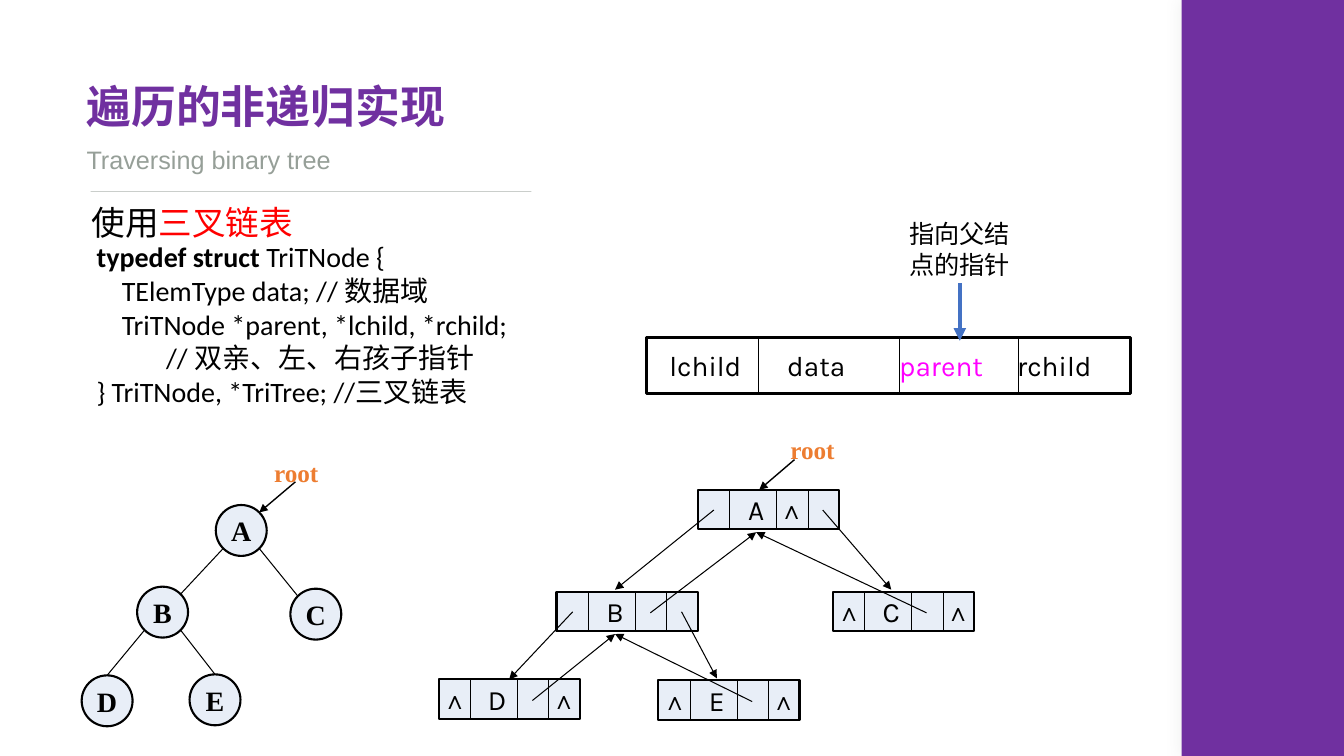
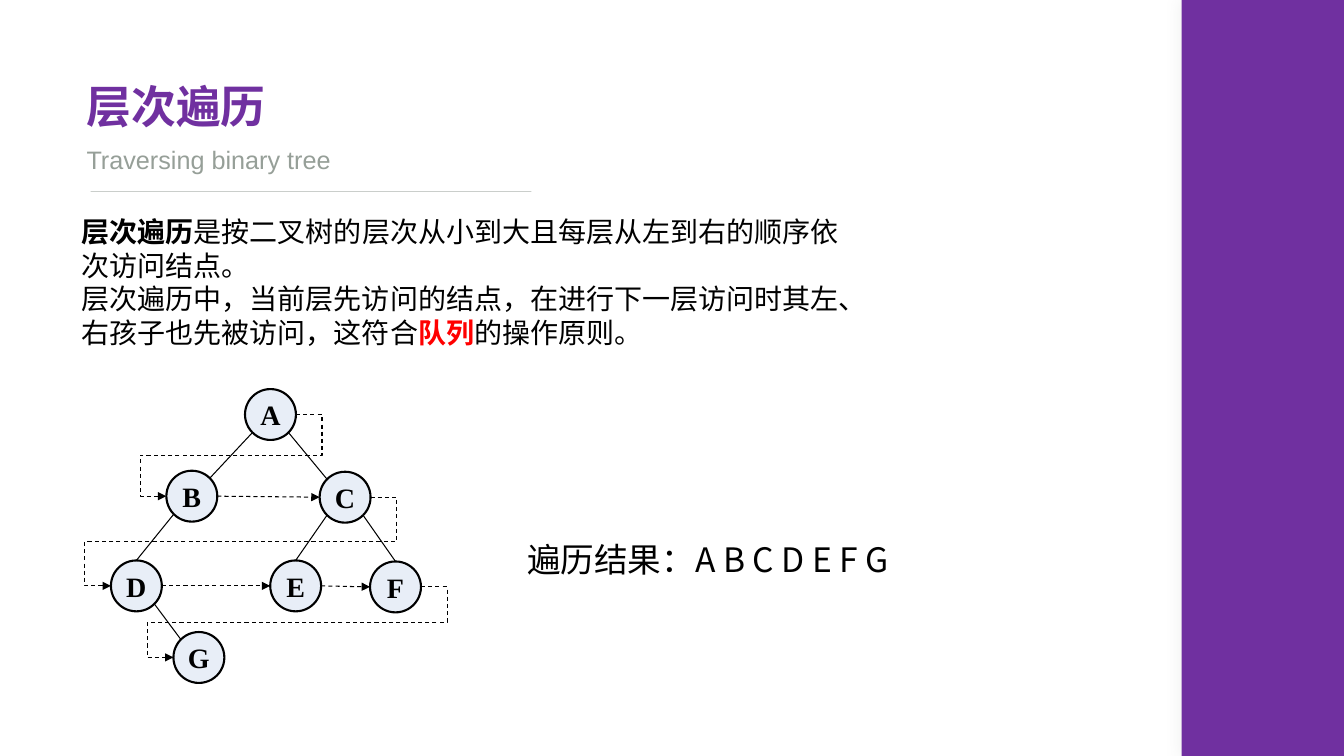
import math

import lxml.etree
import pptx
import pptx.dml.color
import pptx.enum.dml
import pptx.enum.shapes
import pptx.enum.text
import pptx.oxml.ns
import pptx.util

COLUMNS, ROWS = 133.3, 75
COLORS = {
    "purple": "7030A0",
    "gray": "969F98",
    "shade": "D5D7D5",
    "black": "000000",
    "red": "FF0000",
    "magenta": "FF00FF",
    "orange": "ED7D31",
    "blue": "4472C4",
    "pale": "E8EEF7",
}
CJK, SERIF, SANS, BODY, CODE = "Noto Sans CJK SC", "Times New Roman", "Arial", "Karla", "Calibri"
NODE_SIZE = 5.05
TOP, TOP_LEFT, LEFT, BOTTOM_LEFT, BOTTOM, BOTTOM_RIGHT, RIGHT, TOP_RIGHT = range(8)
ELBOW_LEAD = 2.6
RECORD_WIDTH, RECORD_HEIGHT = 14, 3.9
RECORD_DIVIDERS = (3.15, 7.8, 10.95)
POINTER_STARTS = {"lchild": 1.6, "parent": 9.3, "rchild": 12.4}
NULL_OFFSETS = {"lchild": -0.6, "parent": 7.1, "rchild": 10.2}
DATA_X = 5.8


def grid(count):
    return pptx.util.Inches(count / 10)


def rgb(name):
    return pptx.dml.color.RGBColor.from_string(COLORS[name])


def add_xml(parent, tag, **attributes):
    return lxml.etree.SubElement(parent, pptx.oxml.ns.qn(tag), attributes)


def style_paragraph(paragraph, size, font, color="black", bold=False, centered=False):
    paragraph.font.size = pptx.util.Pt(size)
    paragraph.font.bold = bold
    paragraph.font.color.rgb = rgb(color)
    paragraph.font.name = font
    add_xml(paragraph._p.find(".//" + pptx.oxml.ns.qn("a:defRPr")), "a:ea", typeface=CJK)
    if centered:
        paragraph.alignment = pptx.enum.text.PP_ALIGN.CENTER


def add_text(slide, box, paragraphs, size, font, wrap=True, **style):
    shape = slide.shapes.add_textbox(*map(grid, box))
    frame = shape.text_frame
    frame.word_wrap = wrap
    frame.auto_size = pptx.enum.text.MSO_AUTO_SIZE.SHAPE_TO_FIT_TEXT
    for index, runs in enumerate(paragraphs):
        paragraph = frame.add_paragraph() if index else frame.paragraphs[0]
        style_paragraph(paragraph, size, font, **style)
        for text, color, bold in runs:
            run = paragraph.add_run()
            run.text = text
            if color:
                run.font.color.rgb = rgb(color)
            if bold:
                run.font.bold = True
    return shape


def add_label(slide, box, text, size, font, **style):
    return add_text(slide, box, [[(text, None, False)]], size, font, **style)


def add_box(slide, box, fill=None, line_width=None, kind="RECTANGLE"):
    shape = slide.shapes.add_shape(pptx.enum.shapes.MSO_SHAPE[kind], *map(grid, box))
    shape.shadow.inherit = False
    if fill:
        shape.fill.solid()
        shape.fill.fore_color.rgb = rgb(fill)
    else:
        shape.fill.background()
    if line_width:
        shape.line.color.rgb = rgb("black")
        shape.line.width = pptx.util.Pt(line_width)
    else:
        shape.line.fill.background()
    return shape


def add_line(slide, start, end, width=0.75, color="black", dashed=False, arrow=False, kind="STRAIGHT"):
    connector = slide.shapes.add_connector(
        pptx.enum.shapes.MSO_CONNECTOR[kind], *map(grid, (*start, *end)))
    connector.line.width = pptx.util.Pt(width)
    connector.line.color.rgb = rgb(color)
    if dashed:
        connector.line.dash_style = pptx.enum.dml.MSO_LINE.DASH
    properties = connector._element.spPr
    if arrow:
        add_xml(properties.find(pptx.oxml.ns.qn("a:ln")), "a:tailEnd", type="triangle")
    add_xml(properties, "a:effectLst")
    return connector


def add_frame(slide, title):
    band = add_box(slide, (117.2, 0, COLUMNS - 117.2, ROWS), "purple")
    effects = band._element.spPr.find(pptx.oxml.ns.qn("a:effectLst"))
    shadow = add_xml(effects, "a:outerShdw", blurRad=str(pptx.util.Pt(10)), dist="0", dir="0")
    shade = add_xml(shadow, "a:srgbClr", val=COLORS["shade"])
    add_xml(shade, "a:alpha", val="40000")
    add_label(slide, (7.6, 7.3, 100, 6.4), title, 32, SANS, color="purple", bold=True)
    add_label(slide, (7.6, 13.8, 27.5, 4), "Traversing binary tree", 18, SANS, color="gray")
    divider = add_line(slide, (52.7, 19), (9, 19), 0.5, "gray")
    color = divider._element.spPr.find(".//" + pptx.oxml.ns.qn("a:srgbClr"))
    add_xml(color, "a:alpha", val="50000")


def site_point(corner, site):
    angle = math.radians(90 + 45 * site)
    radius = NODE_SIZE / 2
    return (corner[0] + radius * (1 + math.cos(angle)),
            corner[1] + radius * (1 - math.sin(angle)))


def add_node(slide, letter, corner):
    node = add_box(slide, (*corner, NODE_SIZE, NODE_SIZE), "pale", 1.5, "OVAL")
    frame = node.text_frame
    frame.word_wrap = False
    frame.vertical_anchor = pptx.enum.text.MSO_ANCHOR.MIDDLE
    frame.text = letter
    style_paragraph(frame.paragraphs[0], 20, SERIF, bold=True, centered=True)
    return node


def add_tree(slide, corners, edges, visits=()):
    nodes = {letter: add_node(slide, letter, corner) for letter, corner in corners.items()}

    def add_edge(begin, begin_site, end, end_site, **style):
        connector = add_line(slide, site_point(corners[begin], begin_site),
                             site_point(corners[end], end_site), **style)
        joints = connector._element.nvCxnSpPr.cNvCxnSpPr
        for tag, letter, site in (("a:stCxn", begin, begin_site), ("a:endCxn", end, end_site)):
            add_xml(joints, tag, id=str(nodes[letter].shape_id), idx=str(site))

    for edge in edges:
        add_edge(*edge)
    for begin, end in visits:
        if corners[begin][0] < corners[end][0]:
            add_edge(begin, RIGHT, end, LEFT, dashed=True, arrow=True)
        else:
            add_step(slide, site_point(corners[begin], RIGHT), site_point(corners[end], LEFT))


def add_step(slide, start, end):
    connector = add_line(slide, start, end, dashed=True, arrow=True, kind="ELBOW")
    geometry = connector._element.spPr.find(pptx.oxml.ns.qn("a:prstGeom"))
    geometry.set("prst", "bentConnector5")
    guides = geometry.find(pptx.oxml.ns.qn("a:avLst"))
    if guides is None:
        guides = add_xml(geometry, "a:avLst")
    lead = ELBOW_LEAD / (start[0] - end[0])
    for number, share in enumerate((-lead, 0.5, 1 + lead), 1):
        add_xml(guides, "a:gd", name=f"adj{number}", fmla=f"val {round(share * 100000)}")


def add_root(slide, corner, start, end):
    add_line(slide, start, end, 1, arrow=True)
    add_label(slide, (*corner, 6.5, 4), "root", 18, SERIF, wrap=False, color="orange", bold=True)


def add_dividers(slide, lefts, top, height):
    for left in lefts:
        add_line(slide, (left, top), (left, top + height))


def add_record(slide, letter, corner, empty_fields):
    left, top = corner
    record = add_box(slide, (left, top, RECORD_WIDTH, RECORD_HEIGHT), "pale", 1.5)
    add_label(slide, (left + 3.45, top - 0.2, 4.7, 4.4), letter, 20, BODY, centered=True)
    add_dividers(slide, [left + offset for offset in RECORD_DIVIDERS], top, RECORD_HEIGHT)
    for field in empty_fields:
        add_label(slide, (left + NULL_OFFSETS[field], top, 4.5, 4), "∧", 18, SANS,
                  wrap=False, bold=True)
    return record


def add_linked_list(slide):
    corners = {"A": (69.2, 48.6), "B": (55.2, 58.7), "C": (82.6, 58.7),
               "D": (43.5, 67.4), "E": (65.3, 67.5)}
    leaf = ("lchild", "rchild")
    empty = {"A": ("parent",), "B": (), "C": leaf, "D": leaf, "E": leaf}
    add_root(slide, (77.4, 42.6), (78.8, 45.6), (75.3, 48.6))
    records = {letter: add_record(slide, letter, corner, empty[letter])
               for letter, corner in corners.items()}
    for parent, field, child in (("A", "lchild", "B"), ("A", "rchild", "C"),
                                 ("B", "lchild", "D"), ("B", "rchild", "E")):
        (parent_x, parent_y), (child_x, child_y) = corners[parent], corners[child]
        down = add_line(slide, (parent_x + POINTER_STARTS[field], parent_y + 2),
                        (child_x + DATA_X, child_y - 0.2), arrow=True)
        if child == "D":
            down.end_connect(records[child], 0)
        add_line(slide, (child_x + POINTER_STARTS["parent"], child_y + 2.1),
                 (parent_x + DATA_X, parent_y + 4.2), arrow=True)


def add_node_layout(slide):
    left, top, width, height = 64.1, 33.5, 48, 5.5
    add_box(slide, (left, top, width, height), line_width=2.25)
    add_dividers(slide, (75.2, 89.2, 101), top, height)
    for text, start, color in (("lchild", 65.4, "black"), ("data", 77.1, "black"),
                               ("parent", 88.2, "magenta"), ("rchild", 99.9, "black")):
        add_label(slide, (start, top + 0.6, 12, 4.3), text, 20, BODY, color=color)
    add_line(slide, (95.2, 28.1), (95.2, 33.8), 3, "blue", arrow=True)
    add_label(slide, (89.2, 21.2, 13.9, 7.1), "指向父结点的指针", 18, CJK)


def add_code(slide):
    lines = [
        (0, [("typedef struct ", None, True), ("TriTNode {", None, False)]),
        (2.5, [("TElemType data; // 数据域", None, False)]),
        (2.5, [("TriTNode *parent, *lchild, *rchild;", None, False)]),
        (6.9, [("// 双亲、左、右孩子指针", None, False)]),
        (0, [("} TriTNode, *TriTree; //三叉链表", None, False)]),
    ]
    shape = add_text(slide, (8.6, 23.3, 50, 20.9), [runs for _, runs in lines], 20, CODE)
    for paragraph, (indent, _) in zip(shape.text_frame.paragraphs, lines):
        paragraph._p.pPr.set("marL", str(grid(indent)))


def build_threaded_slide(slide):
    add_frame(slide, "遍历的非递归实现")
    add_linked_list(slide)
    corners = {"A": (21.4, 50.1), "B": (13.6, 58.2), "C": (28.8, 58.4),
               "D": (8.1, 67), "E": (18.8, 66.9)}
    add_tree(slide, corners, [
        ("A", BOTTOM_LEFT, "B", TOP_RIGHT), ("A", BOTTOM_RIGHT, "C", TOP_LEFT),
        ("B", BOTTOM_LEFT, "D", TOP), ("B", BOTTOM_RIGHT, "E", TOP)])
    add_root(slide, (26.2, 44.9), (29.3, 47.8), site_point(corners["A"], TOP_RIGHT))
    add_text(slide, (8.1, 19.5, 34.2, 5),
             [[("使用", None, False), ("三叉链表", "red", False)]], 24, CJK)
    add_code(slide)
    add_node_layout(slide)


def build_level_order_slide(slide):
    add_frame(slide, "层次遍历")
    corners = {"A": (24.3, 38.6), "B": (16.5, 46.7), "C": (31.7, 46.8), "D": (11, 55.6),
               "E": (26.8, 55.6), "F": (36.7, 55.7), "G": (17.2, 62.7)}
    edges = [
        ("A", BOTTOM_LEFT, "B", TOP_RIGHT), ("A", BOTTOM_RIGHT, "C", TOP_LEFT),
        ("B", BOTTOM_LEFT, "D", TOP), ("C", BOTTOM_LEFT, "E", TOP),
        ("C", BOTTOM_RIGHT, "F", TOP), ("D", BOTTOM_RIGHT, "G", TOP_LEFT)]
    order = list(corners)
    add_tree(slide, corners, edges, zip(order, order[1:]))
    add_text(slide, (7.1, 20.8, 79.5, 17.5), [
        [("层次遍历", None, True),
         ("是按二叉树的层次从小到大且每层从左到右的顺序依次访问结点。", None, False)],
        [("层次遍历中，当前层先访问的结点，在进行下一层访问时其左、右孩子也先被访问，这符合", None, False),
         ("队列", "red", True), ("的操作原则。", None, False)]], 20, CJK)
    add_label(slide, (51.3, 53, 49.9, 5), "遍历结果：A B C D E F G", 24, CJK)


def main():
    presentation = pptx.Presentation()
    presentation.slide_width, presentation.slide_height = grid(COLUMNS), grid(ROWS)
    for build in (build_threaded_slide, build_level_order_slide):
        build(presentation.slides.add_slide(presentation.slide_layouts[6]))
    presentation.save("out.pptx")


if __name__ == "__main__":
    main()
